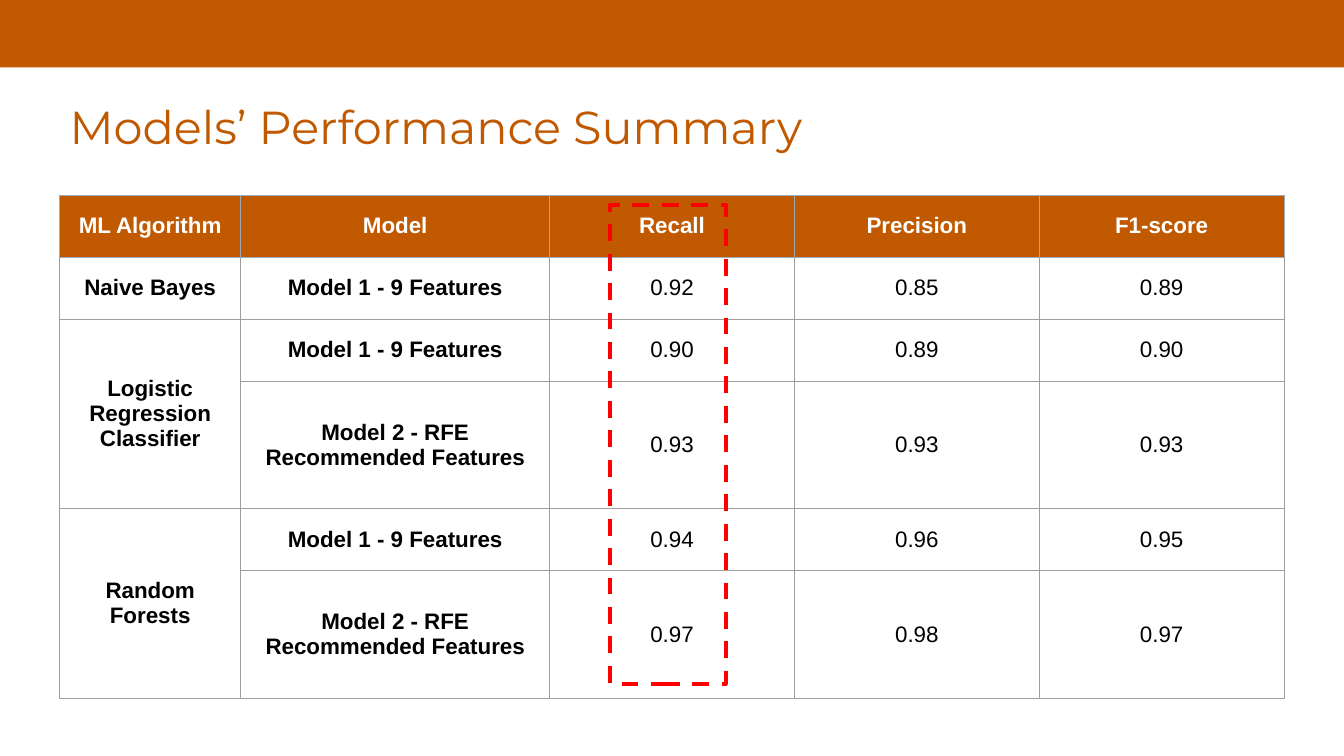
import pptx
import pptx.util
import pptx.dml.color
import pptx.enum.dml
import pptx.enum.shapes
import pptx.enum.text
import pptx.oxml.ns
import lxml.etree

Cm = pptx.util.Cm
Pt = pptx.util.Pt
anchor = pptx.enum.text.MSO_ANCHOR
rect = pptx.enum.shapes.MSO_SHAPE.RECTANGLE


def paint(color, code):
    color.rgb = pptx.dml.color.RGBColor.from_string(code)


def edge(cell, side, code):
    qn = pptx.oxml.ns.qn
    props = cell._tc.get_or_add_tcPr()
    line = lxml.etree.SubElement(props, qn("a:" + side), w=str(Pt(0.75)))
    fill = lxml.etree.SubElement(line, qn("a:solidFill"))
    lxml.etree.SubElement(fill, qn("a:srgbClr"), val=code)


deck = pptx.Presentation()
deck.slide_width = Cm(33.87)
deck.slide_height = Cm(19.05)
slide = deck.slides.add_slide(deck.slide_layouts[5])

band = slide.shapes.add_shape(rect, 0, 0, deck.slide_width, Cm(1.7))
band.shadow.inherit = False
band.fill.solid()
paint(band.fill.fore_color, "C05900")
band.line.fill.background()

title = slide.shapes.title
title.left, title.top = Cm(1.5), Cm(2.51)
title.width, title.height = Cm(29.21), Cm(2.13)
frame = title.text_frame
frame.word_wrap = True
frame.auto_size = pptx.enum.text.MSO_AUTO_SIZE.NONE
frame.vertical_anchor = anchor.TOP
para = frame.paragraphs[0]
para.alignment = pptx.enum.text.PP_ALIGN.LEFT
para.line_spacing = 0.9
run = para.add_run()
run.text = "Models’ Performance Summary"
run.font.name = "Montserrat"
run.font.size = Pt(33)
paint(run.font.color, "C05900")

first = "Model 1 - 9 Features"
second = "Model 2 - RFE Recommended Features"
rows = [
    ["ML Algorithm", "Model", "Recall", "Precision", "F1-score"],
    ["Naive Bayes", first, "0.92", "0.85", "0.89"],
    ["Logistic Regression Classifier", first, "0.90", "0.89", "0.90"],
    ["", second, "0.93", "0.93", "0.93"],
    ["Random Forests", first, "0.94", "0.96", "0.95"],
    ["", second, "0.97", "0.98", "0.97"],
]
widths = [4.57, 7.78, 6.17, 6.17, 6.17]
heights = [1.56, 1.56, 1.56, 3.22, 1.56, 3.22]

holder = slide.shapes.add_table(
    len(rows), len(widths), Cm(1.5), Cm(4.92), Cm(sum(widths)), Cm(sum(heights))
)
table = holder.table
table.horz_banding = False
for col, width in zip(table.columns, widths):
    col.width = Cm(width)
for row, height in zip(table.rows, heights):
    row.height = Cm(height)
for top in (2, 4):
    table.cell(top, 0).merge(table.cell(top + 1, 0))

for r, texts in enumerate(rows):
    for c, text in enumerate(texts):
        cell = table.cell(r, c)
        cell.vertical_anchor = anchor.MIDDLE
        cell.margin_left = cell.margin_right = Cm(0.25)
        cell.margin_top = cell.margin_bottom = Cm(0.25)
        for side in ("lnL", "lnR", "lnT", "lnB"):
            head = r == 0 or (r == 1 and side == "lnT")
            edge(cell, side, "9CACB6" if head else "9E9E9E")
        if r == 0:
            cell.fill.solid()
            paint(cell.fill.fore_color, "C15900")
        else:
            cell.fill.background()
        if text:
            para = cell.text_frame.paragraphs[0]
            para.alignment = pptx.enum.text.PP_ALIGN.CENTER
            run = para.add_run()
            run.text = text
            run.font.name = "Arial"
            run.font.size = Pt(16)
            run.font.bold = r == 0 or c < 2
            paint(run.font.color, "FFFFFF" if r == 0 else "000000")

focus = slide.shapes.add_shape(rect, Cm(15.37), Cm(5.16), Cm(2.92), Cm(12.07))
focus.shadow.inherit = False
focus.fill.background()
paint(focus.line.color, "FF0000")
focus.line.width = Pt(3)
focus.line.dash_style = pptx.enum.dml.MSO_LINE.DASH

deck.save("out.pptx")
